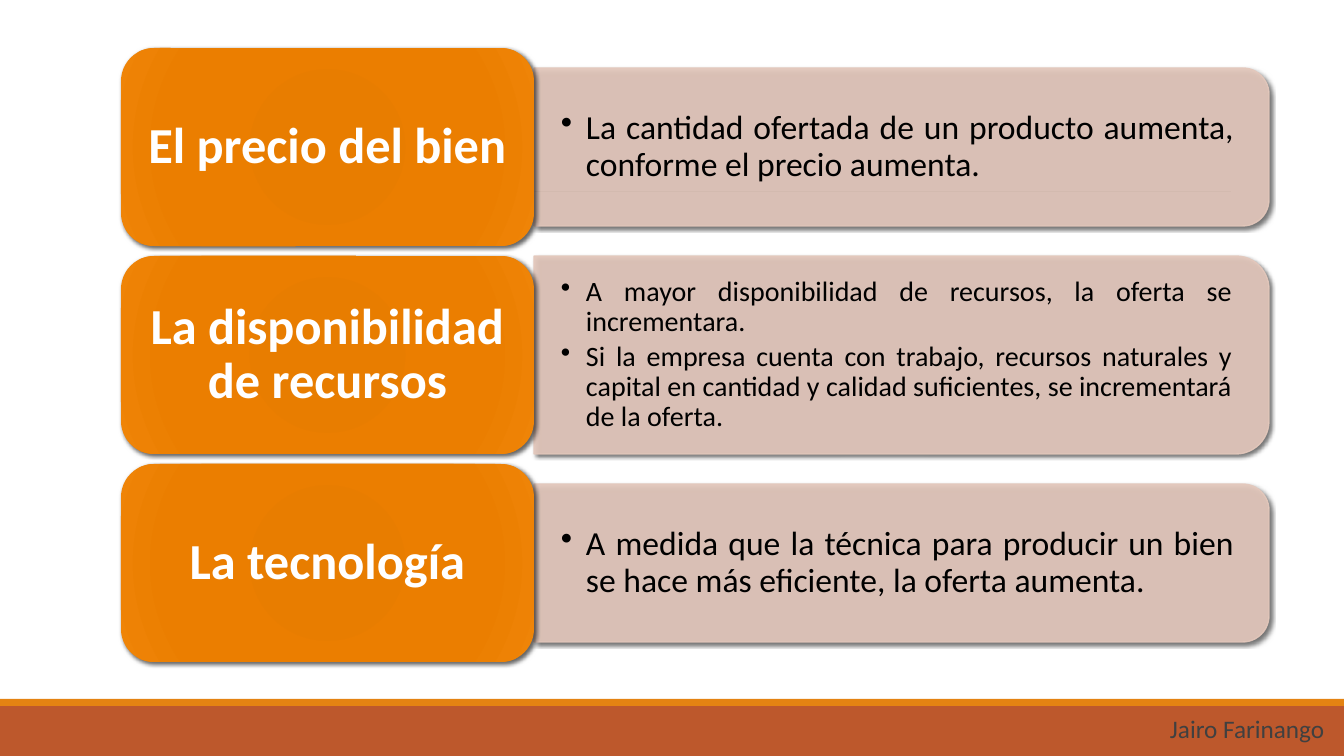
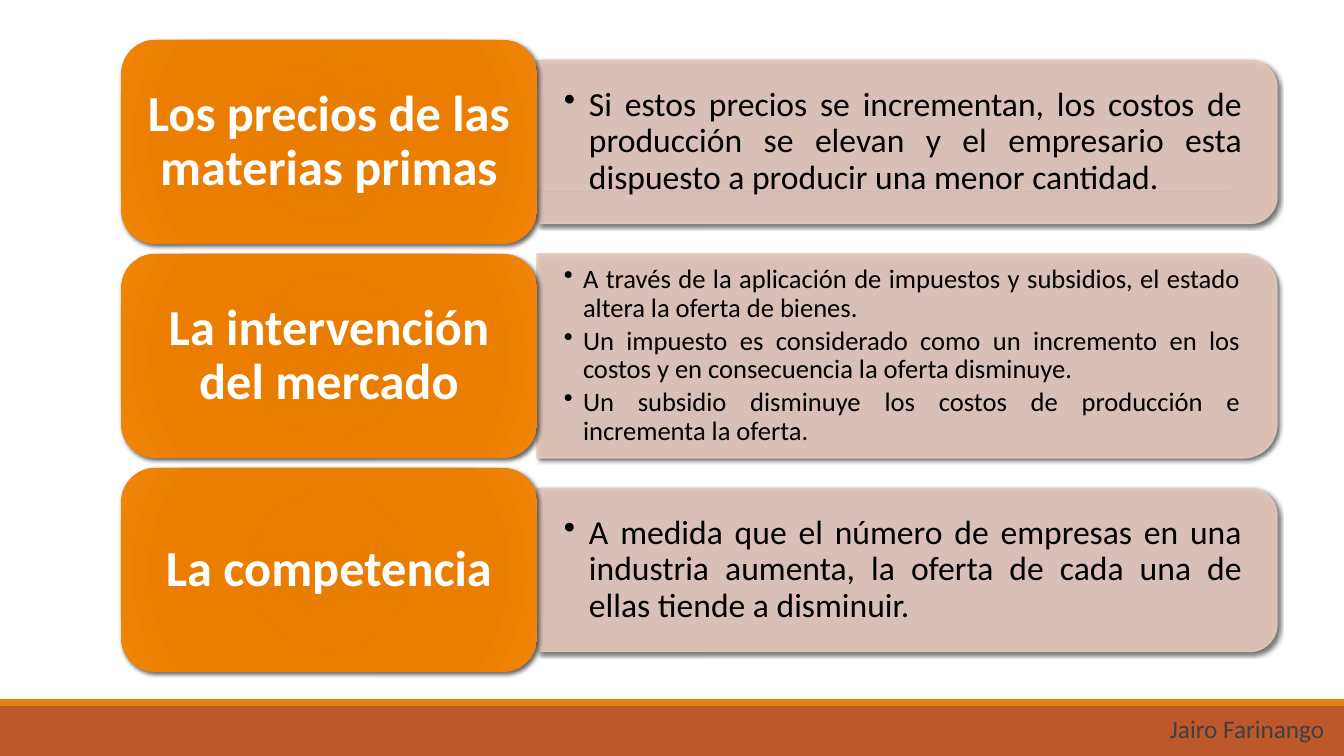
from lxml.etree import SubElement
from pptx import Presentation
from pptx.dml.color import RGBColor
from pptx.enum.shapes import MSO_CONNECTOR, MSO_SHAPE
from pptx.enum.text import MSO_ANCHOR, PP_ALIGN
from pptx.oxml.ns import qn
from pptx.util import Emu, Pt

SLIDE_WIDTH, SLIDE_HEIGHT = 1344, 756
EMU_PER_PX = 12192000 / SLIDE_WIDTH

FONT = "Calibri"
BAND, STRIP, RULE = "BD582C", "E48312", "808080"
PANEL, PANEL_OPACITY = "E4C8BC", 90
LABEL_STOPS = [(0, "E57B00"), (34, "E87D00"), (70, "EB7E00"), (100, "EF8407")]
WHITE, BLACK, GREY = "FFFFFF", "000000", "404040"
AUTHOR = "Jairo Farinango"

LABEL_LEFT = 121
ROW_GAP = 10

# Each row: label, text size, bullet indent, bullets
SUPPLY_FACTORS = [
    ("El precio del bien", 24, 25, [
        "La cantidad ofertada de un producto aumenta, conforme el precio aumenta."]),
    ("La disponibilidad de recursos", 20, 25, [
        "A mayor disponibilidad de recursos, la oferta se incrementara.",
        "Si la empresa cuenta con trabajo, recursos naturales y capital en cantidad "
        "y calidad suficientes, se incrementará de la oferta."]),
    ("La tecnología", 24, 25, [
        "A medida que la técnica para producir un bien se hace más eficiente, "
        "la oferta aumenta."]),
]
MARKET_FACTORS = [
    ("Los precios de las materias primas", 24, 25, [
        "Si estos precios se incrementan, los costos de producción se elevan y el "
        "empresario esta dispuesto a producir una menor cantidad."]),
    ("La intervención del mercado", 19, 19, [
        "A través de la aplicación de impuestos y subsidios, el estado altera la "
        "oferta de bienes.",
        "Un impuesto es considerado como un incremento en los costos y en "
        "consecuencia la oferta disminuye.",
        "Un subsidio disminuye los costos de producción e incrementa la oferta."]),
    ("La competencia", 24, 25, [
        "A medida que el número de empresas en una industria aumenta, la oferta de "
        "cada una de ellas tiende a disminuir."]),
]


def px(length):
    return Emu(round(length * EMU_PER_PX))


def color(hex_code):
    return RGBColor.from_string(hex_code)


def write_text(shape, paragraphs, size=18, font_color=BLACK, bold=False,
               align=PP_ALIGN.LEFT, anchor=MSO_ANCHOR.TOP, margins=(10, 5),
               line_spacing=1.0, space_after=0.0, indent=0):
    """Fill a shape with paragraphs; an indent in px gives them bullets."""
    frame = shape.text_frame
    frame.word_wrap = True
    frame.vertical_anchor = anchor
    frame.margin_left = frame.margin_right = px(margins[0])
    frame.margin_top = frame.margin_bottom = px(margins[1])
    for index, text in enumerate(paragraphs):
        paragraph = frame.add_paragraph() if index else frame.paragraphs[0]
        paragraph.alignment = align
        paragraph.line_spacing = line_spacing
        paragraph.space_after = Pt(space_after * size)
        run = paragraph.add_run()
        run.text = text
        run.font.name = FONT
        run.font.size = Pt(size)
        run.font.bold = bold
        run.font.color.rgb = color(font_color)
        if indent:
            properties = paragraph._p.get_or_add_pPr()
            properties.set("marL", str(px(indent)))
            properties.set("indent", str(-px(indent)))
            SubElement(properties, qn("a:buChar"), char="•")


def add_text(slide, left, top, width, height, paragraphs, **text_format):
    box = slide.shapes.add_textbox(px(left), px(top), px(width), px(height))
    write_text(box, paragraphs, **text_format)


def add_block(slide, kind, left, top, width, height, fill):
    shape = slide.shapes.add_shape(kind, px(left), px(top), px(width), px(height))
    shape.shadow.inherit = False
    shape.fill.solid()
    shape.fill.fore_color.rgb = color(fill)
    shape.line.fill.background()
    return shape


def add_shadow(shape):
    effects = shape.element.spPr.find(qn("a:effectLst"))
    shadow = SubElement(effects, qn("a:outerShdw"), blurRad=str(Pt(3)),
                        dist=str(Pt(2)), dir="2700000", rotWithShape="0")
    black = SubElement(shadow, qn("a:srgbClr"), val=BLACK)
    SubElement(black, qn("a:alpha"), val="60000")


def set_radial_gradient(shape, stops):
    shape.fill.gradient()
    gradient = shape.element.spPr.find(qn("a:gradFill"))
    for child in list(gradient):
        gradient.remove(child)
    stop_list = SubElement(gradient, qn("a:gsLst"))
    for position, stop_color in stops:
        stop = SubElement(stop_list, qn("a:gs"), pos=str(position * 1000))
        SubElement(stop, qn("a:srgbClr"), val=stop_color)
    circle = SubElement(gradient, qn("a:path"), path="circle")
    SubElement(circle, qn("a:fillToRect"), l="100000", t="100000",
               r="100000", b="100000")


def add_label(slide, top, width, height, text):
    label = add_block(slide, MSO_SHAPE.ROUNDED_RECTANGLE, LABEL_LEFT, top,
                      width, height, LABEL_STOPS[0][1])
    set_radial_gradient(label, LABEL_STOPS)
    add_shadow(label)
    write_text(label, [text], size=36, font_color=WHITE, bold=True,
               align=PP_ALIGN.CENTER, anchor=MSO_ANCHOR.MIDDLE, margins=(15, 7),
               line_spacing=0.9, space_after=0.35)


def add_panel(slide, left, middle, width, height, bullets, size, indent):
    # A quarter turn puts the two rounded corners on the right
    panel = add_block(slide, MSO_SHAPE.ROUND_2_SAME_RECTANGLE,
                      left + (width - height) / 2, middle - width / 2,
                      height, width, PANEL)
    panel.rotation = 90
    panel.line.color.rgb = color(PANEL)
    panel.line.width = Pt(1)
    for panel_color in panel.element.spPr.iter(qn("a:srgbClr")):
        SubElement(panel_color, qn("a:alpha"), val=str(PANEL_OPACITY * 1000))
    add_shadow(panel)

    corner = round(height * 0.05)
    add_text(slide, left, middle - height / 2 + corner, width - corner,
             height - 2 * corner, bullets, size=size, indent=indent,
             align=PP_ALIGN.JUSTIFY, anchor=MSO_ANCHOR.MIDDLE, margins=(27, 14),
             line_spacing=0.9, space_after=0.15)


def decorate_layout(slide):
    """Draw the shared bands and rule, then move them to the slide's layout."""
    band = add_block(slide, MSO_SHAPE.RECTANGLE, 0, 706, SLIDE_WIDTH, 50, BAND)
    strip = add_block(slide, MSO_SHAPE.RECTANGLE, 0, 699, SLIDE_WIDTH, 7, STRIP)
    rule = slide.shapes.add_connector(MSO_CONNECTOR.STRAIGHT, px(132), px(191),
                                      px(1231), px(191))
    rule.line.color.rgb = color(RULE)
    rule.line.width = Pt(0.5)
    SubElement(rule.element.spPr, qn("a:effectLst"))
    for shape in (band, strip, rule):
        slide.slide_layout.shapes.element.append(shape.element)


def add_factors(slide, rows, top, label_width, row_height, panel_width):
    for index, (label, size, indent, bullets) in enumerate(rows):
        row_top = top + index * (row_height + ROW_GAP)
        panel_height = row_height if len(bullets) > 1 else round(row_height * 0.8)
        add_panel(slide, LABEL_LEFT + label_width, row_top + row_height / 2,
                  panel_width, panel_height, bullets, size, indent)
        add_label(slide, row_top, label_width, row_height, label)
    # Author on the bottom band
    add_text(slide, 1160, 708, 175, 40, [AUTHOR], font_color=GREY)


def main():
    presentation = Presentation()
    presentation.slide_width = px(SLIDE_WIDTH)
    presentation.slide_height = px(SLIDE_HEIGHT)
    blank = presentation.slide_layouts[6]

    supply_slide = presentation.slides.add_slide(blank)
    decorate_layout(supply_slide)
    add_factors(supply_slide, SUPPLY_FACTORS, top=48, label_width=413,
                row_height=198, panel_width=735)

    market_slide = presentation.slides.add_slide(blank)
    add_factors(market_slide, MARKET_FACTORS, top=40, label_width=416,
                row_height=204, panel_width=740)

    presentation.save("out.pptx")


if __name__ == "__main__":
    main()
